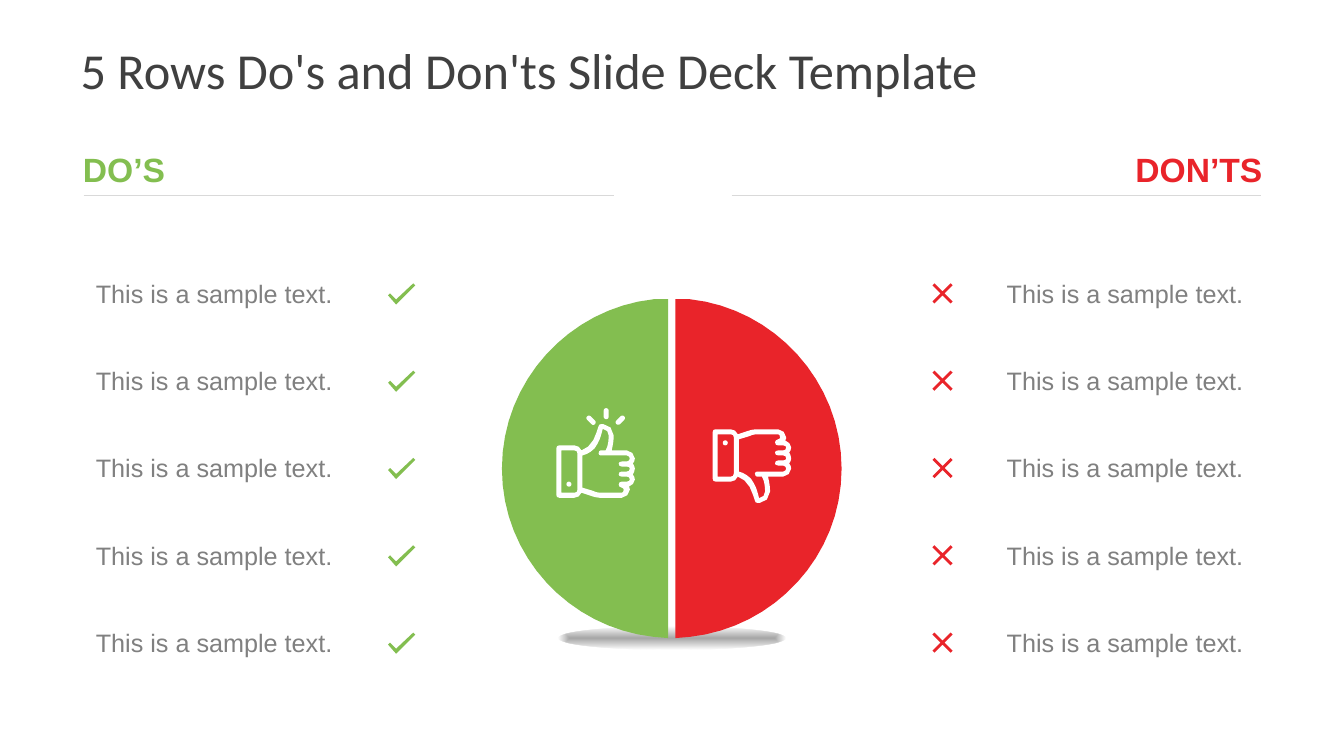
from lxml.etree import SubElement
from pptx import Presentation
from pptx.dml.color import RGBColor
from pptx.enum.shapes import MSO_CONNECTOR, MSO_SHAPE
from pptx.enum.text import MSO_ANCHOR, MSO_AUTO_SIZE, PP_ALIGN
from pptx.oxml import parse_xml
from pptx.oxml.ns import nsdecls, qn
from pptx.util import Cm, Pt

# Content
TITLE = "5 Rows Do's and Don'ts Slide Deck Template"
DOS = ["This is a sample text."] * 5
DONTS = ["This is a sample text."] * 5
HEX = {"green": "83BE50", "red": "E9242A", "title": "404040", "text": "808080",
       "rule": "D9D9D9", "white": "FFFFFF"}

# Outlines: two numbers are a corner, six are a curve
TICK = [[(8, 16), (2, 10), (0, 12), (8, 21), (27, 2), (25, 0)]]
CROSS = [[(20, 2), (18, 0), (10, 8), (2, 0), (0, 2), (8, 10),
          (0, 18), (2, 20), (10, 12), (18, 20), (20, 18), (12, 10)]]
HALF = [[(-0.09, 0), (-0.09, 8.54), (-0.45, 8.51),
         (-2.58, 8.28, -4.28, 6.48, -4.28, 4.27),
         (-4.28, 2.06, -2.58, 0.23, -0.45, 0)]]
HAND = [(76, 39), (77, 38, 78, 36, 78, 34), (78, 30, 74, 26, 70, 26), (55, 26),
        (56, 22, 57, 16, 57, 13), (57, 11), (57, 5, 52, 0, 47, 0), (44, 0),
        (43, 0, 42, 1, 42, 2), (40, 8), (38, 16, 32, 24, 25, 26),
        (24, 23, 21, 21, 18, 21), (3, 21), (1, 21, 0, 22, 0, 24), (0, 70),
        (0, 72, 1, 73, 3, 73), (18, 73), (21, 73, 24, 71, 25, 68), (34, 71),
        (37, 72, 40, 73, 43, 73), (65, 73), (69, 73, 73, 69, 73, 65),
        (73, 64, 73, 63, 72, 62), (75, 61, 78, 58, 78, 55),
        (78, 53, 77, 51, 76, 50), (77, 48, 78, 46, 78, 44),
        (78, 42, 77, 41, 76, 39)]
CUFF = [(21, 65), (21, 67, 20, 68, 18, 68), (5, 68), (5, 26), (18, 26),
        (20, 26, 21, 27, 21, 29)]
PALM = [(65, 42), (70, 42), (72, 42, 73, 43, 73, 44), (73, 46, 72, 47, 70, 47),
        (65, 47), (63, 47, 62, 48, 62, 50), (62, 51, 63, 52, 65, 52), (70, 52),
        (72, 52, 73, 53, 73, 55), (73, 56, 72, 57, 70, 57), (65, 57),
        (63, 57, 62, 58, 62, 60), (62, 61, 63, 63, 65, 63),
        (66, 63, 67, 64, 67, 65), (67, 67, 66, 68, 65, 68), (43, 68),
        (41, 68, 38, 67, 36, 66), (26, 63), (26, 31), (30, 30, 34, 28, 38, 24),
        (41, 20, 44, 14, 45, 9), (46, 5), (47, 5), (50, 5, 52, 8, 52, 11),
        (52, 13), (52, 17, 51, 23, 49, 26), (44, 26), (43, 26, 42, 27, 42, 29),
        (42, 30, 43, 31, 44, 31), (70, 31), (72, 31, 73, 33, 73, 34),
        (73, 35, 72, 37, 70, 37), (65, 37), (63, 37, 62, 38, 62, 39),
        (62, 41, 63, 42, 65, 42)]
RAYS = [(34.5, -4, -45), (49.5, -10.5, 0), (63.5, -4, 45)]

# Layout rules
UNIT = Cm(1.98) / 78  # one icon step
MID = Cm(16.93)
ROW, STEP = 6.88, 2.2
SIDES = [
    dict(head="DO’S", rows=DOS, hue="green", headx=1.83, headw=2.59,
         rule=(2.11, 15.47), textx=1.9, align=PP_ALIGN.RIGHT,
         mark=TICK, markx=9.78, turn=1, thumb=(14.02, 10.69)),
    dict(head="DON’TS", rows=DONTS, hue="red", headx=28.35, headw=3.73,
         rule=(18.44, 31.78), textx=25.12, align=PP_ALIGN.LEFT,
         mark=CROSS, markx=23.5, turn=-1, thumb=(17.96, 12.67)),
]

deck = Presentation()
deck.slide_width, deck.slide_height = Cm(33.87), Cm(19.05)
slide = deck.slides.add_slide(deck.slide_layouts[5])
shapes = slide.shapes


def tint(name):
    return RGBColor.from_string(HEX[name])


def write(box, text, size, hue, font="Arial", bold=False,
          align=PP_ALIGN.LEFT, wrap=True):
    frame = box.text_frame
    frame.word_wrap = wrap
    frame.auto_size = MSO_AUTO_SIZE.NONE
    frame.vertical_anchor = MSO_ANCHOR.MIDDLE
    para = frame.paragraphs[0]
    para.alignment = align
    run = para.add_run()
    run.text = text
    run.font.name, run.font.size, run.font.bold = font, Pt(size), bold
    run.font.color.rgb = tint(hue)


def label(x, y, w, h, text, **form):
    write(shapes.add_textbox(Cm(x), Cm(y), Cm(w), Cm(h)), text, **form)


def paint(shape, hue):
    shape.shadow.inherit = False
    shape.fill.solid()
    shape.fill.fore_color.rgb = tint(hue)
    shape.line.fill.background()
    return shape


def flat(loop, scale):
    """Turn corners and curves into points, more of them on long curves."""
    dots = []
    for part in loop:
        if len(part) == 2:
            dots.append(part)
            continue
        ctrl = [dots[-1], part[:2], part[2:4], part[4:]]
        span = max(abs(a - b) for a, b in zip(ctrl[0], ctrl[3])) * scale
        steps = 2 + int(3.5 * span / Cm(1))
        for i in range(1, steps + 1):
            t = i / steps
            mix = ((1 - t) ** 3, 3 * t * (1 - t) ** 2, 3 * t * t * (1 - t), t ** 3)
            dots.append(tuple(sum(m * c[k] for m, c in zip(mix, ctrl))
                              for k in (0, 1)))
    return dots


def trace(loops, x, y, hue, dx=UNIT, dy=UNIT):
    pen = None
    for loop in loops:
        dots = [(round(x + a * dx), round(y + b * dy)) for a, b in flat(loop, abs(dx))]
        if pen is None:
            pen = shapes.build_freeform(*dots[0])
        else:
            pen.move_to(*dots[0])
        pen.add_line_segments(dots[1:], close=True)
    paint(pen.convert_to_shape(), hue)


def spot(kind, x, y, w, h):
    """Small white shape centred on x, y."""
    return paint(shapes.add_shape(kind, round(x - w / 2), round(y - h / 2),
                                  round(w), round(h)), "white")


def thumb(x, y, turn):
    trace([HAND, CUFF, PALM], x, y, "white", dy=turn * UNIT)
    spot(MSO_SHAPE.OVAL, x + 12.5 * UNIT, y + turn * 59.5 * UNIT, 5 * UNIT, 5 * UNIT)


def main():
    # Title
    title = shapes.title
    title.left, title.top, title.width, title.height = Cm(1.7), Cm(0.76), Cm(30.48), Cm(1.98)
    frame = title.text_frame
    frame.margin_left = frame.margin_right = Cm(0.33)
    frame.margin_top = frame.margin_bottom = Cm(0.18)
    write(title, TITLE, 36, "title", font="Calibri")

    # Soft shade under the disc
    shade = paint(shapes.add_shape(MSO_SHAPE.OVAL, Cm(14.07), Cm(15.8),
                                   Cm(5.72), Cm(0.58)), "text")
    props = shade._element.spPr
    stops = "".join(
        f'<a:gs pos="{pos}"><a:srgbClr val="{HEX["text"]}">'
        f'<a:alpha val="{alpha}"/></a:srgbClr></a:gs>'
        for pos, alpha in ((0, 70000), (100000, 0)))
    props.replace(props.find(qn("a:solidFill")), parse_xml(
        f'<a:gradFill {nsdecls("a")}><a:gsLst>{stops}</a:gsLst><a:path path="shape">'
        '<a:fillToRect l="50000" t="50000" r="50000" b="50000"/></a:path></a:gradFill>'))

    for side in SIDES:
        hue, turn = side["hue"], side["turn"]
        # Heading and rule
        label(side["headx"], 3.63, side["headw"], 1.27, side["head"], size=24,
              hue=hue, bold=True, align=PP_ALIGN.CENTER, wrap=False)
        start, end = side["rule"]
        rule = shapes.add_connector(MSO_CONNECTOR.STRAIGHT,
                                    Cm(start), Cm(4.92), Cm(end), Cm(4.92))
        rule.line.color.rgb, rule.line.width = tint("rule"), Pt(0.75)
        SubElement(rule._element.spPr, qn("a:effectLst"))
        # Half disc and thumb
        trace(HALF, MID, Cm(7.54), hue, dx=turn * Cm(1), dy=Cm(1))
        x, y = (Cm(v) for v in side["thumb"])
        thumb(x, y, turn)
        # Rows
        for i, text in enumerate(side["rows"]):
            top = ROW + i * STEP
            trace(side["mark"], Cm(side["markx"]), Cm(top + 0.26), hue)
            label(side["textx"], top, 6.73, 1.02, text, size=18, hue="text",
                  align=side["align"])

    # Rays over the raised thumb
    left, top = (Cm(v) for v in SIDES[0]["thumb"])
    for x, y, angle in RAYS:
        ray = spot(MSO_SHAPE.ROUNDED_RECTANGLE, left + x * UNIT, top + y * UNIT,
                   5 * UNIT, 11 * UNIT)
        ray.adjustments[0] = 0.5
        ray.rotation = angle

    deck.save("out.pptx")


if __name__ == "__main__":
    main()
